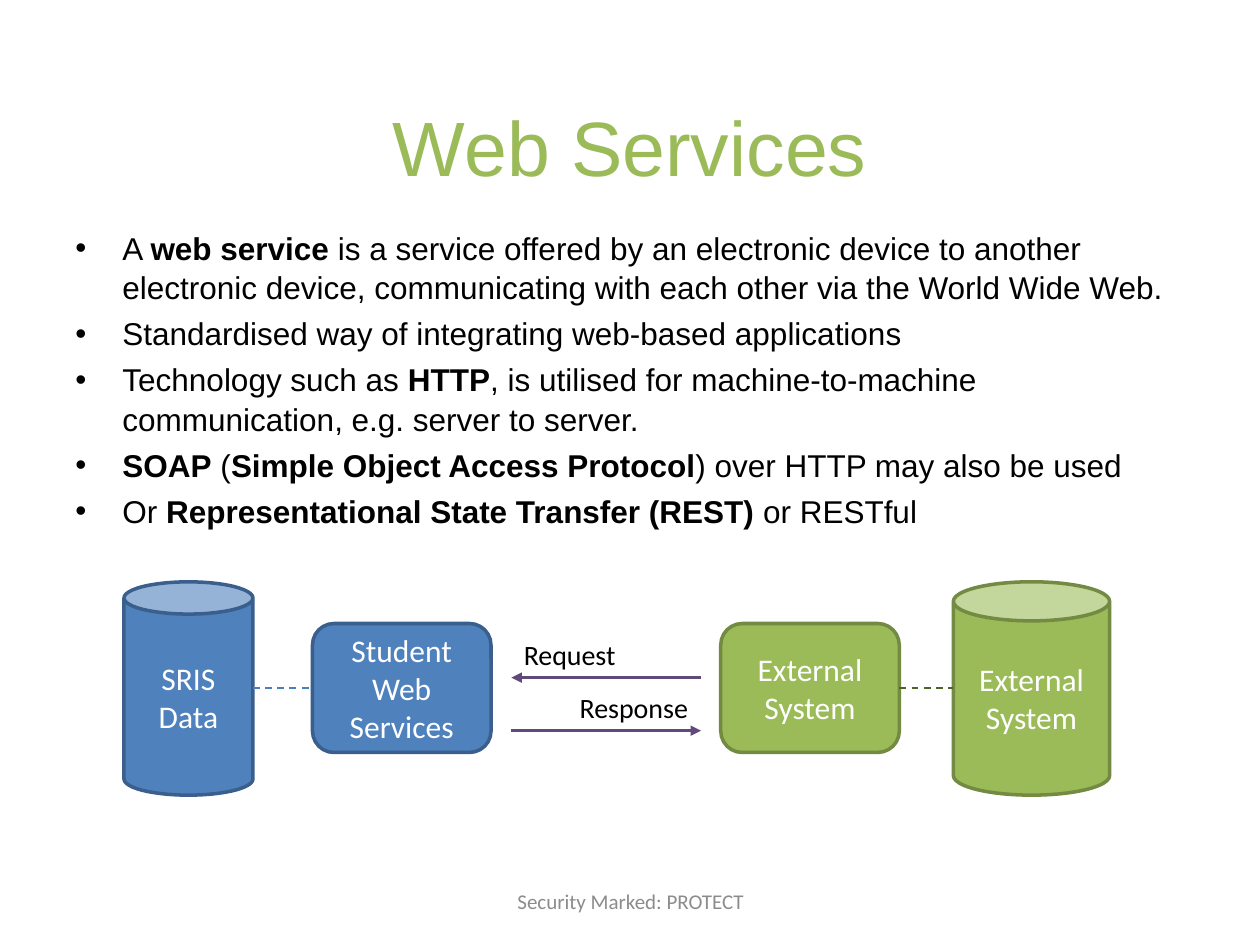
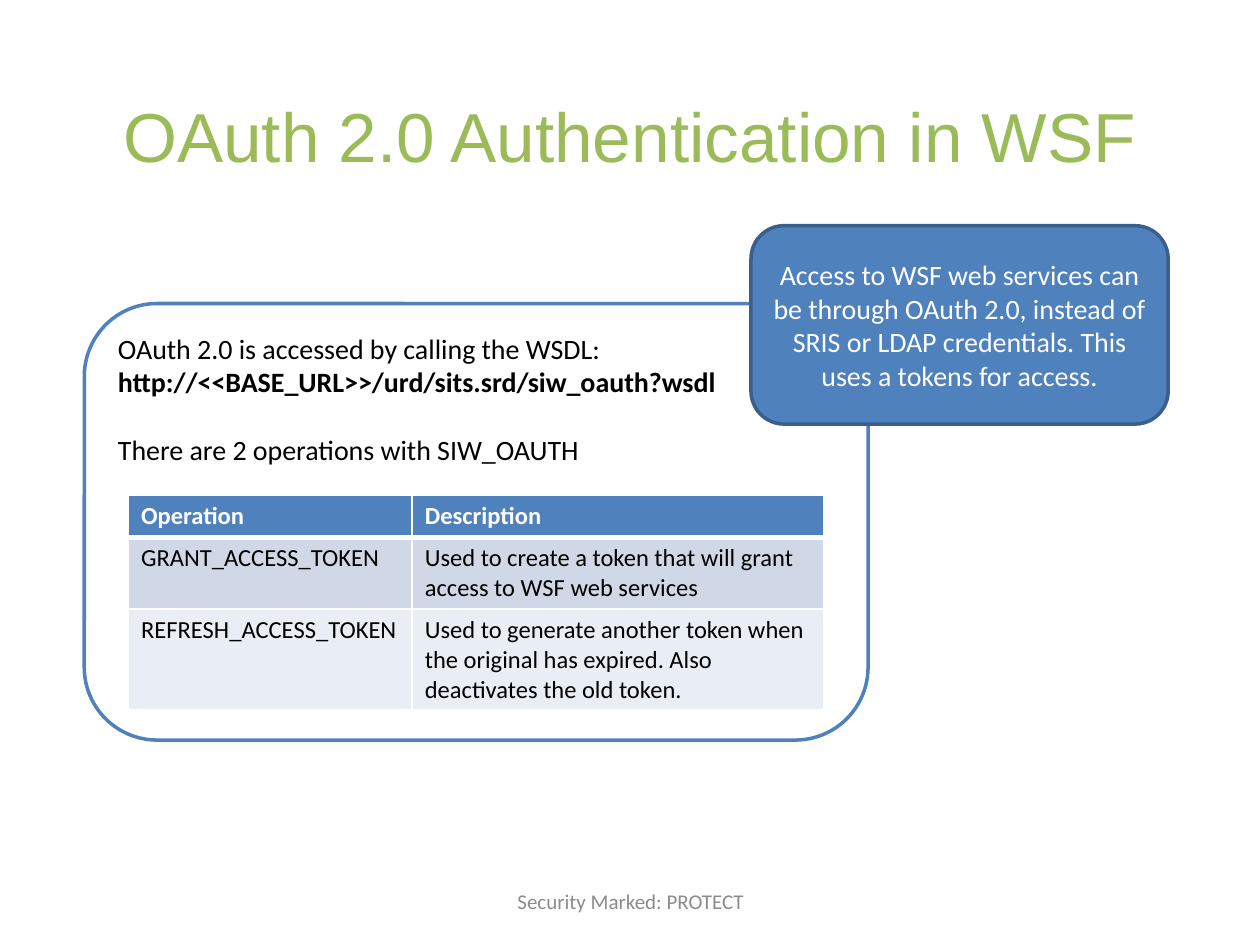
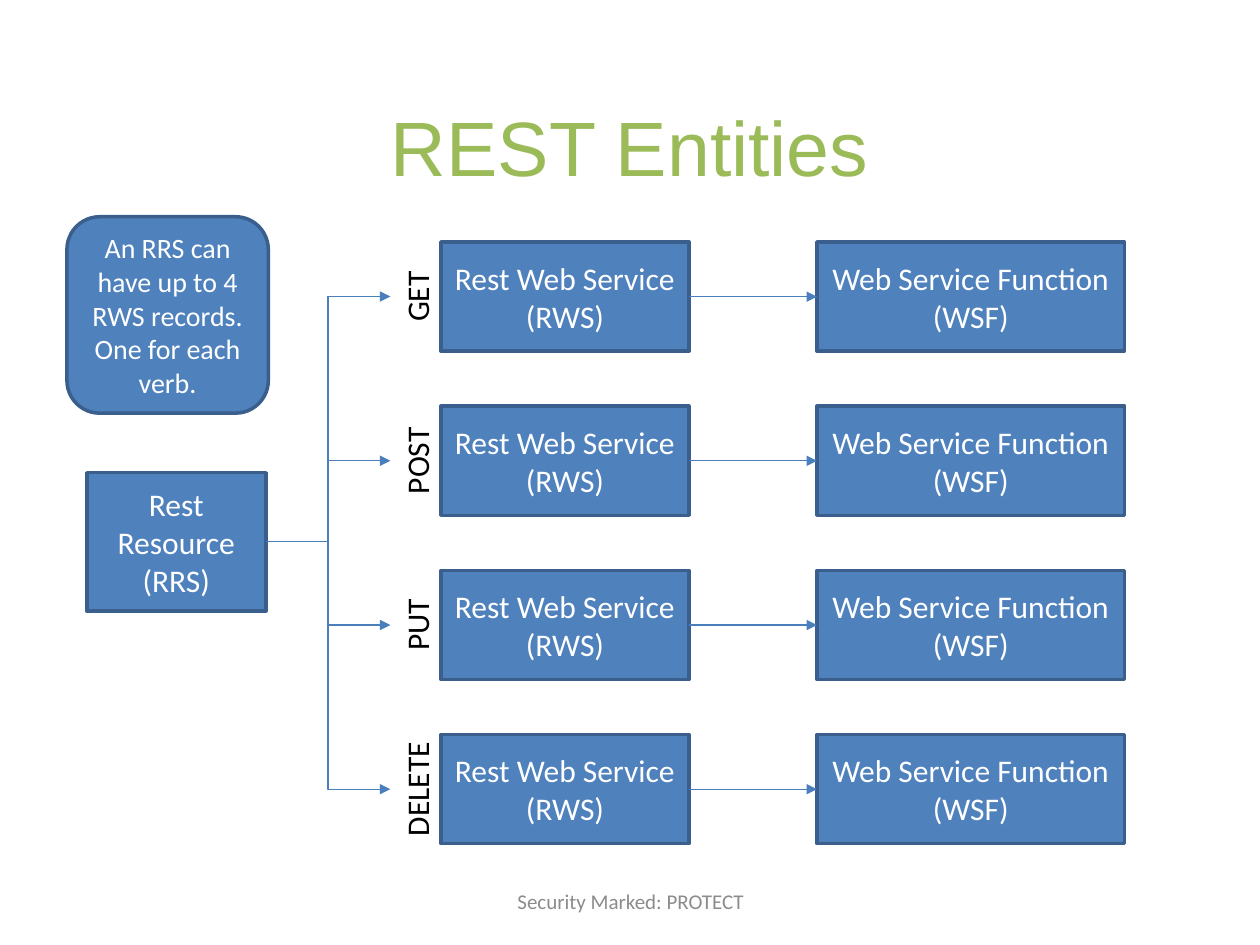
"""Build three slides about web services, OAuth access and REST entities."""
from lxml import etree
from pptx import Presentation
from pptx.dml.color import RGBColor
from pptx.enum.dml import MSO_LINE
from pptx.enum.shapes import MSO_CONNECTOR, MSO_SHAPE
from pptx.enum.text import MSO_ANCHOR, PP_ALIGN
from pptx.oxml.ns import qn
from pptx.util import Cm, Pt

CAN, ROUNDED, RECTANGLE = MSO_SHAPE.CAN, MSO_SHAPE.ROUNDED_RECTANGLE, MSO_SHAPE.RECTANGLE
STRAIGHT, ELBOW = MSO_CONNECTOR.STRAIGHT, MSO_CONNECTOR.ELBOW
LEFT, CENTER, RIGHT = PP_ALIGN.LEFT, PP_ALIGN.CENTER, PP_ALIGN.RIGHT
TOP, MIDDLE = MSO_ANCHOR.TOP, MSO_ANCHOR.MIDDLE
DASH = MSO_LINE.DASH

BLUE, DARK_BLUE, LINK_BLUE = "4F81BD", "3A5F8C", "4B7EBC"
GREEN, DARK_GREEN, LINK_GREEN = "9BBB59", "738A42", "4F6228"
PURPLE, GREY, BLACK, WHITE = "604A7B", "8C8C8C", "000000", "FFFFFF"
rgb = RGBColor.from_string


def add_box(slide, kind, place, lines, size=18, fill=BLUE, outline=DARK_BLUE,
            color=WHITE, font="Calibri", align=CENTER, anchor=MIDDLE):
    """Add a shape, or a text box if kind is None; ** marks bold text."""
    box = [Cm(length) for length in place]
    if kind is None:
        shape = slide.shapes.add_textbox(*box)
    else:
        shape = slide.shapes.add_shape(kind, *box)
        shape.shadow.inherit = False
        shape.fill.solid()
        shape.fill.fore_color.rgb = rgb(fill)
        shape.line.color.rgb = rgb(outline)
        shape.line.width = Pt(2)
    frame = shape.text_frame
    frame.word_wrap = True
    frame.vertical_anchor = anchor
    for index, line in enumerate(lines):
        paragraph = frame.add_paragraph() if index else frame.paragraphs[0]
        paragraph.alignment = align
        for part, text in enumerate(line.split("**")):
            if text:
                run = paragraph.add_run()
                run.text = text
                run.font.size = Pt(size)
                run.font.name = font
                run.font.bold = part % 2 == 1
                run.font.color.rgb = rgb(color)
    return shape


def add_line(slide, kind, start, end, color, width, arrow=True, dash=None):
    """Add a connector with an optional arrowhead at its end."""
    connector = slide.shapes.add_connector(kind, *[Cm(length) for length in start + end])
    connector.line.color.rgb = rgb(color)
    connector.line.width = Pt(width)
    if dash:
        connector.line.dash_style = dash
    properties = connector.element.spPr
    if arrow:
        etree.SubElement(properties.find(qn("a:ln")), qn("a:tailEnd"), type="triangle")
    etree.SubElement(properties, qn("a:effectLst"))


presentation = Presentation()
presentation.slide_width = Cm(25.4)
presentation.slide_height = Cm(19.05)

slides = []
for title, top, size in [("Web Services", 1.35, 44),
                         ("OAuth 2.0 Authentication in WSF", 1.12, 39.6),
                         ("REST Entities", 1.35, 44)]:
    slide = presentation.slides.add_slide(presentation.slide_layouts[6])
    add_box(slide, None, (1.27, top, 22.86, 3.18), [title], size, color=GREEN, font="Arial")
    add_box(slide, None, (8.69, 17.65, 8.05, 1.02), ["Security Marked: PROTECT"], 12, color=GREY)
    slides.append(slide)
services, oauth, rest = slides

body = add_box(services, None, (1.27, 4.45, 22.86, 12.57), [
    "A **web service** is a service offered by an electronic device to another electronic device, "
    "communicating with each other via the World Wide Web.",
    "Standardised way of integrating web-based applications",
    "Technology such as **HTTP**, is utilised for machine-to-machine communication, "
    "e.g. server to server.",
    "**SOAP** (**Simple Object Access Protocol**) over HTTP may also be used",
    "Or **Representational State Transfer (REST)** or RESTful",
], color=BLACK, font="Arial", align=LEFT, anchor=TOP)
for index, paragraph in enumerate(body.text_frame.paragraphs):
    properties = paragraph._p.get_or_add_pPr()
    properties.set("marL", str(Cm(0.95)))
    properties.set("indent", str(Cm(-0.95)))
    etree.SubElement(properties, qn("a:buFont"), typeface="Arial")
    etree.SubElement(properties, qn("a:buChar"), char="•")
    paragraph.line_spacing = 1.05
    if index:
        paragraph.space_before = Pt(3.6)

for kind, place, text, fill, outline in [
    (CAN, (2.5, 11.73, 2.6, 4.3), "SRIS Data", BLUE, DARK_BLUE),
    (ROUNDED, (6.3, 12.57, 3.6, 2.6), "Student Web Services", BLUE, DARK_BLUE),
    (CAN, (19.22, 11.73, 3.15, 4.3), "External System", GREEN, DARK_GREEN),
    (ROUNDED, (14.53, 12.57, 3.6, 2.6), "External System", GREEN, DARK_GREEN),
]:
    add_box(services, kind, place, [text], fill=fill, outline=outline)
for start, end, color in [(5.1, 6.3, LINK_BLUE), (18.13, 19.22, LINK_GREEN)]:
    add_line(services, STRAIGHT, (start, 13.87), (end, 13.87), color, 1, arrow=False, dash=DASH)
for text, left, top, align, start, end in [("Request", 10.31, 12.73, LEFT, 14.13, 10.31),
                                           ("Response", 10.62, 13.8, RIGHT, 10.31, 14.13)]:
    add_box(services, None, (left, top, 3.5, 0.94), [text], 16, color=BLACK, align=align, anchor=TOP)
    add_line(services, STRAIGHT, (start, top + 0.93), (end, top + 0.93), PURPLE, 1.5)

panel = add_box(oauth, ROUNDED, (1.7, 6.12, 15.8, 8.8), [
    "OAuth 2.0 is accessed by calling the WSDL:",
    "**http://<<BASE_URL>>/urd/sits.srd/siw_oauth?wsdl**",
    "There are 2 operations with SIW_OAUTH",
], 16, WHITE, BLUE, BLACK, align=LEFT, anchor=TOP)
panel.text_frame.paragraphs[2].space_before = Pt(19.5)
add_box(oauth, ROUNDED, (15.14, 4.55, 8.41, 4), [
    "Access to WSF web services can be through OAuth 2.0, instead of SRIS or LDAP credentials. "
    "This uses a tokens for access."], 16)

operations = [
    ("Operation", "Description"),
    ("GRANT_ACCESS_TOKEN", "Used to create a token that will grant access to WSF web services"),
    ("REFRESH_ACCESS_TOKEN",
     "Used to generate another token when the original has expired. Also deactivates the old token."),
]
table = oauth.shapes.add_table(3, 2, Cm(2.59), Cm(9.98), Cm(14.02), Cm(4.33)).table
for column, width in zip(table.columns, (5.72, 8.3)):
    column.width = Cm(width)
for row, height in zip(table.rows, (0.85, 1.45, 2.03)):
    row.height = Cm(height)
for row, (texts, fill) in enumerate(zip(operations, (BLUE, "D0D8E8", "E9EDF4"))):
    widths = {"lnL": 1, "lnR": 1, "lnT": 3 if row == 1 else 1, "lnB": 3 if row == 0 else 1}
    for column, text in enumerate(texts):
        cell = table.cell(row, column)
        cell.text_frame.text = text
        font = cell.text_frame.paragraphs[0].runs[0].font
        font.size = Pt(14)
        font.name = "Calibri"
        font.bold = row == 0
        font.color.rgb = rgb(BLACK if row else WHITE)
        properties = cell._tc.get_or_add_tcPr()
        for side, width in widths.items():
            border = etree.SubElement(properties, qn("a:" + side), w=str(Pt(width)))
            border_fill = etree.SubElement(border, qn("a:solidFill"))
            etree.SubElement(border_fill, qn("a:srgbClr"), val=WHITE)
        cell.fill.solid()
        cell.fill.fore_color.rgb = rgb(fill)

add_box(rest, RECTANGLE, (1.75, 9.53, 3.61, 2.79), ["Rest Resource", "(RRS)"])
for index, verb in enumerate(["GET", "POST", "PUT", "DELETE"]):
    top = 4.88 + 3.31 * index
    middle = top + 1.1
    add_box(rest, RECTANGLE, (8.89, top, 5, 2.2), ["Rest Web Service", "(RWS)"])
    add_box(rest, RECTANGLE, (16.47, top, 6.2, 2.2), ["Web Service Function", "(WSF)"])
    label = add_box(rest, None, (7, middle - 0.51, 2.8, 1.02), [verb], color=BLACK, anchor=TOP)
    label.rotation = 270
    add_line(rest, ELBOW, (5.36, 10.92), (7.87, middle), LINK_BLUE, 0.75)
    add_line(rest, STRAIGHT, (13.89, middle), (16.47, middle), LINK_BLUE, 0.75)
add_box(rest, ROUNDED, (1.35, 4.37, 4.06, 3.96),
        ["An RRS can have up to 4 RWS records. One for each verb."], 16)

presentation.save("out.pptx")
